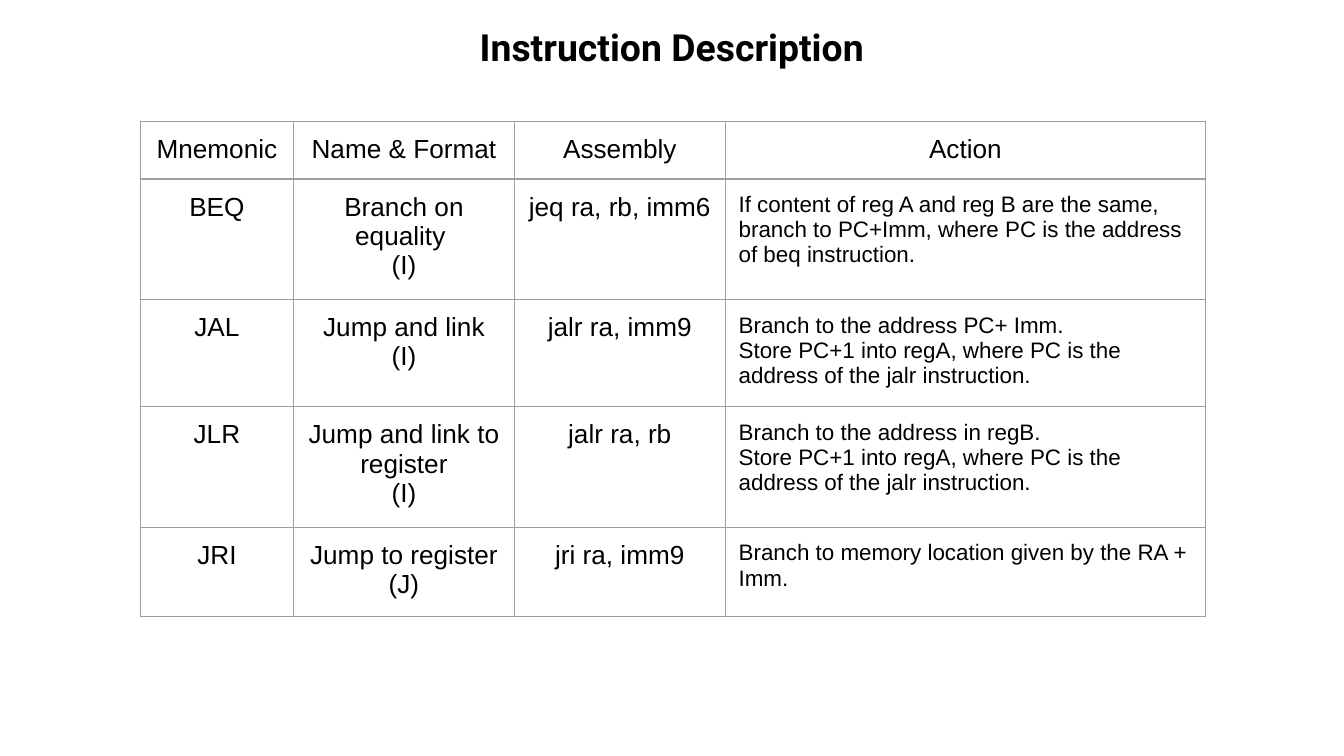
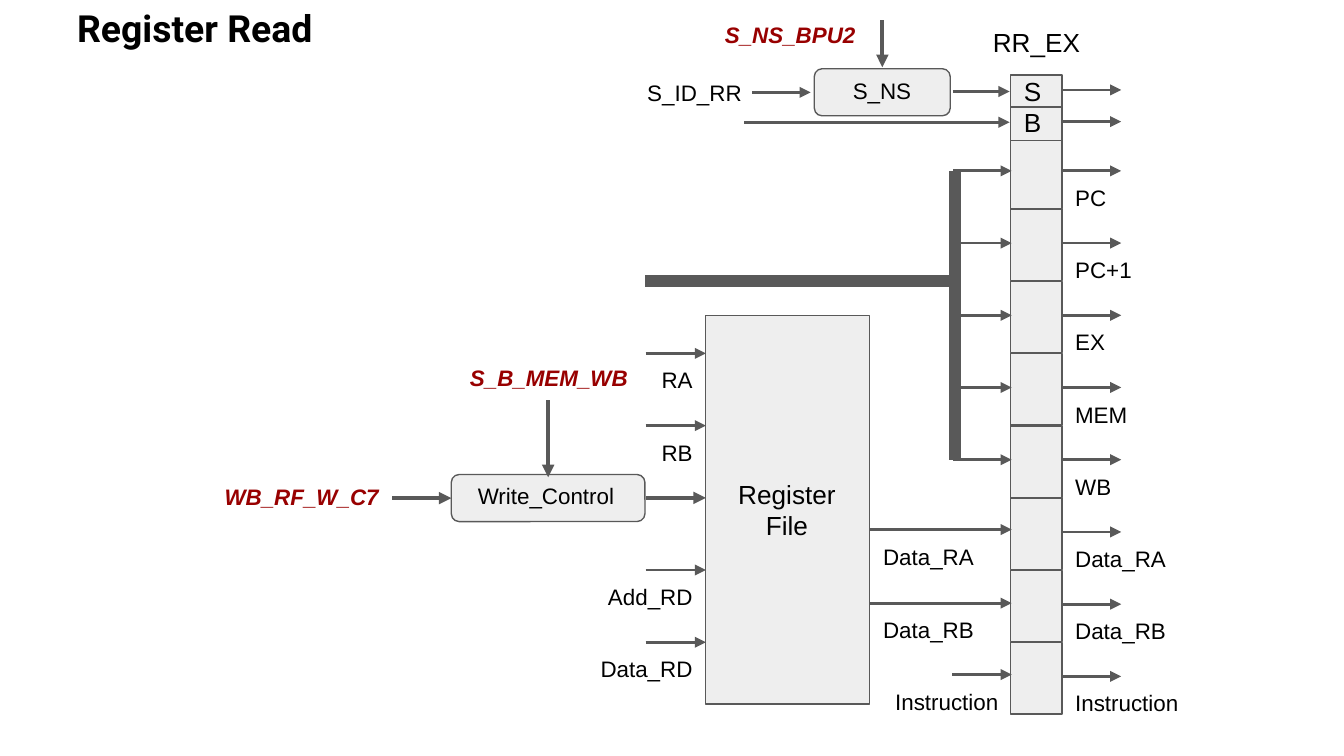
from dataclasses import dataclass

from lxml import etree
from pptx import Presentation
from pptx import util as u
from pptx.dml.color import RGBColor
from pptx.enum import shapes, text
from pptx.oxml import ns

Cm, Pt = u.Cm, u.Pt
LEFT, CENTER, RIGHT = text.PP_ALIGN.LEFT, text.PP_ALIGN.CENTER, text.PP_ALIGN.RIGHT
RECT, ROUND = shapes.MSO_SHAPE.RECTANGLE, shapes.MSO_SHAPE.ROUNDED_RECTANGLE


@dataclass(frozen=True)
class Theme:
    ink: str = "000000"
    signal: str = "980000"
    wire: str = "595959"
    block: str = "EEEEEE"
    grid: str = "9E9E9E"
    title_font: str = "Roboto"
    font: str = "Arial"
    title: float = 20
    head: float = 14
    small: float = 12
    hair: float = 0.75
    line: float = 1.5
    control: float = 2.25
    bus: float = 6
    inset: float = 0.25


T = Theme()

INSTRUCTIONS = [
    ("Mnemonic", "Name & Format", "Assembly", "Action"),
    ("BEQ", "Branch on equality \n(I)", "jeq ra, rb, imm6",
     "If content of reg A and reg B are the same, branch to PC+Imm, "
     "where PC is the address of beq instruction."),
    ("JAL", "Jump and link\n(I)", "jalr ra, imm9",
     "Branch to the address PC+ Imm.\nStore PC+1 into regA, where PC is the\n"
     "address of the jalr instruction."),
    ("JLR", "Jump and link to register\n(I)", "jalr ra, rb",
     "Branch to the address in regB.\nStore PC+1 into regA, where PC is the\n"
     "address of the jalr instruction."),
    ("JRI", "Jump to register\n(J)", "jri ra, imm9",
     "Branch to memory location given by the RA + Imm."),
]
COLUMNS = (2.9, 4.17, 3.99, 9.07)
ROW = 1.07

# Each field is one cell of the RR_EX register: label and label width
FIELDS = [("PC", 1.6), ("PC+1", 1.96), ("EX", 1.6), ("MEM", 1.6), ("WB", 1.6),
          ("Data_RA", 2.41), ("Data_RB", 2.24), ("Instruction", 2.74)]
PITCH = 1.365
STUB = 1.12


# --- shared parts ---

def write(tf, words, size, align, color=T.ink, font=T.font, bold=False, italic=False):
    for i, line in enumerate(words.split("\n")):
        p = tf.paragraphs[0] if i == 0 else tf.add_paragraph()
        p.alignment = align
        r = p.add_run()
        r.text = line
        r.font.size, r.font.name = Pt(size), font
        r.font.bold, r.font.italic = bold, italic
        r.font.color.rgb = RGBColor.from_string(color)


def label(s, words, x, y, w, align=LEFT, size=T.small, h=1.02, **style):
    tf = s.shapes.add_textbox(Cm(x), Cm(y), Cm(w), Cm(h)).text_frame
    tf.word_wrap = True
    tf.auto_size = text.MSO_AUTO_SIZE.SHAPE_TO_FIT_TEXT
    tf.margin_left = tf.margin_right = tf.margin_top = tf.margin_bottom = Cm(T.inset)
    write(tf, words, size, align, **style)


def signal(s, words, x, y, w, align):
    label(s, words, x, y, w, align, color=T.signal, bold=True, italic=True)


def title(s, words, x, y, w):
    label(s, words, x, y, w, CENTER, T.title, 1.37, font=T.title_font, bold=True)


def block(s, x, y, w, h, kind=RECT):
    sp = s.shapes.add_shape(kind, Cm(x), Cm(y), Cm(w), Cm(h))
    sp.shadow.inherit = False
    sp.fill.solid()
    sp.fill.fore_color.rgb = RGBColor.from_string(T.block)
    sp.line.color.rgb = RGBColor.from_string(T.wire)
    sp.line.width = Pt(T.hair)


def wire(s, x1, y1, x2, y2, width=T.line, arrow=True):
    c = s.shapes.add_connector(shapes.MSO_CONNECTOR.STRAIGHT,
                               Cm(x1), Cm(y1), Cm(x2), Cm(y2))
    c.line.color.rgb = RGBColor.from_string(T.wire)
    c.line.width = Pt(width)
    if arrow:
        etree.SubElement(c.line._get_or_add_ln(), ns.qn("a:tailEnd"), type="triangle")
    etree.SubElement(c._element.spPr, ns.qn("a:effectLst"))


# --- instruction table ---

def cell_borders(cell):
    tcPr = cell._tc.get_or_add_tcPr()
    for side in "LRTB":
        ln = etree.SubElement(tcPr, ns.qn("a:ln" + side), w=str(Pt(T.hair)))
        fill = etree.SubElement(ln, ns.qn("a:solidFill"))
        etree.SubElement(fill, ns.qn("a:srgbClr"), val=T.grid)


def instruction_table(s, x, y):
    n = len(INSTRUCTIONS)
    tbl = s.shapes.add_table(n, len(COLUMNS), Cm(x), Cm(y),
                             Cm(sum(COLUMNS)), Cm(n * ROW)).table
    tbl.first_row = tbl.horz_banding = False
    for col, w in zip(tbl.columns, COLUMNS):
        col.width = Cm(w)
    for i, row in enumerate(INSTRUCTIONS):
        tbl.rows[i].height = Cm(ROW)
        for j, words in enumerate(row):
            cell = tbl.cell(i, j)
            cell.margin_left = cell.margin_right = Cm(T.inset)
            cell.margin_top = cell.margin_bottom = Cm(T.inset)
            cell_borders(cell)
            cell.fill.background()
            action = i > 0 and j == len(COLUMNS) - 1
            write(cell.text_frame, words, T.small if action else T.head,
                  LEFT if action else CENTER)


# --- register read diagram ---

def pipeline_register(s, x, y, w):
    label(s, "RR_EX", x - 0.63, y - 1.17, 2.24, CENTER, T.head, 1.12)
    right = x + w

    # One cell and one outgoing wire per field
    for i, (name, name_w) in enumerate(FIELDS):
        block(s, x, y + 1.17 + i * PITCH, w, 1.35)
        wy = y + 1.81 + i * PITCH
        wire(s, right, wy, right + STUB, wy)
        label(s, name, right, wy, name_w)

    # Small flag cells on top
    for i, name in enumerate("SB"):
        fy = y + i * 0.6
        block(s, x, fy, w, 0.64)
        label(s, name, x, fy - 0.25, 1.17, size=T.head, h=1.12)
        wire(s, right, fy + 0.28, right + STUB, fy + 0.28)


def control_bus(s, x, y, w):
    """Thick bus feeding the five control fields; w reaches the register."""
    trunk = x + w - 1.1
    for i in range(5):
        wy = y + i * PITCH
        wire(s, trunk, wy, x + w, wy)
    wire(s, trunk + 0.03, y + 4 * PITCH, trunk + 0.03, y, T.bus, arrow=False)
    wire(s, x, y + 2.08, trunk + 0.05, y + 2.08, T.bus, arrow=False)


def register_file(s, x, y, w, h):
    block(s, x, y, w, h)
    label(s, "Register\nFile", x + 0.33, y + 2.82, 2.41, CENTER, T.head, 1.7)

    # Inputs; the unnamed one comes from the write control
    inputs = [("RA", 1.6), ("RB", 1.96), None, ("Add_RD", 2.24), ("Data_RD", 2.41)]
    for i, port in enumerate(inputs):
        wy = y + 0.71 + i * PITCH
        wire(s, x - 1.14, wy, x, wy, T.line if port else T.control)
        if port:
            label(s, port[0], x - port[1], wy, port[1], RIGHT)

    # Outputs
    for i, (name, name_w) in enumerate(FIELDS[5:7]):
        wy = y + 4.04 + i * 1.39
        wire(s, x + w, wy, x + w + 2.68, wy)
        label(s, name, x + w, wy, name_w)


def write_control(s, x, y, w, h):
    block(s, x, y, w, h, ROUND)
    label(s, "Write_Control", x + 0.23, y - 0.1, 3.12, CENTER)
    wire(s, x - 1.12, y + h / 2, x, y + h / 2, T.control)
    wire(s, x + w / 2, y - 1.4, x + w / 2, y + 0.05, T.control)
    signal(s, "WB_RF_W_C7", x - 4.67, y - 0.08, 3.55, RIGHT)
    signal(s, "S_B_MEM_WB", x - 0.02, y - 2.34, 3.73, CENTER)


def next_state(s, x, y, w, h):
    block(s, x, y, w, h, ROUND)
    label(s, "S_NS", x + 0.15, y - 0.1, 2.26, CENTER)
    wire(s, x - 1.17, y + h / 2, x - 0.07, y + h / 2)
    wire(s, x + w + 0.05, y + 0.43, x + w + 1.12, y + 0.43)
    wire(s, x + w / 2, y - 0.92, x + w / 2, y - 0.03, T.control)
    wire(s, x - 1.32, y + 1.01, x + w + 1.12, y + 1.01)
    label(s, "S_ID_RR", x - 4.27, y - 0.05, 3.15, RIGHT)
    signal(s, "S_NS_BPU2", x - 2.13, y - 1.15, 3.35, CENTER)


def instruction_input(s, x, y):
    """Wire ending at x, with its name below."""
    wire(s, x - STUB, y, x, y)
    label(s, "Instruction", x - 2.74, y, 2.74, RIGHT)


# --- slides ---

def description_slide(s):
    title(s, "Instruction Description", 2.49, 0.2, 20.42)
    instruction_table(s, 2.65, 2.29)


def register_read_slide(s):
    title(s, "Register Read", 0.66, -0.15, 6.05)
    pipeline_register(s, 19.1, 1.42, 0.97)
    register_file(s, 13.34, 5.97, 3.1, 7.34)
    control_bus(s, 12.19, 3.23, 6.93)
    instruction_input(s, 19.12, 12.75)
    write_control(s, 8.53, 8.97, 3.66, 0.89)
    next_state(s, 15.39, 1.3, 2.57, 0.89)


def main():
    prs = Presentation()
    prs.slide_width, prs.slide_height = Cm(25.4), Cm(14.29)
    for build in (description_slide, register_read_slide):
        build(prs.slides.add_slide(prs.slide_layouts[6]))
    prs.save("out.pptx")


if __name__ == "__main__":
    main()
